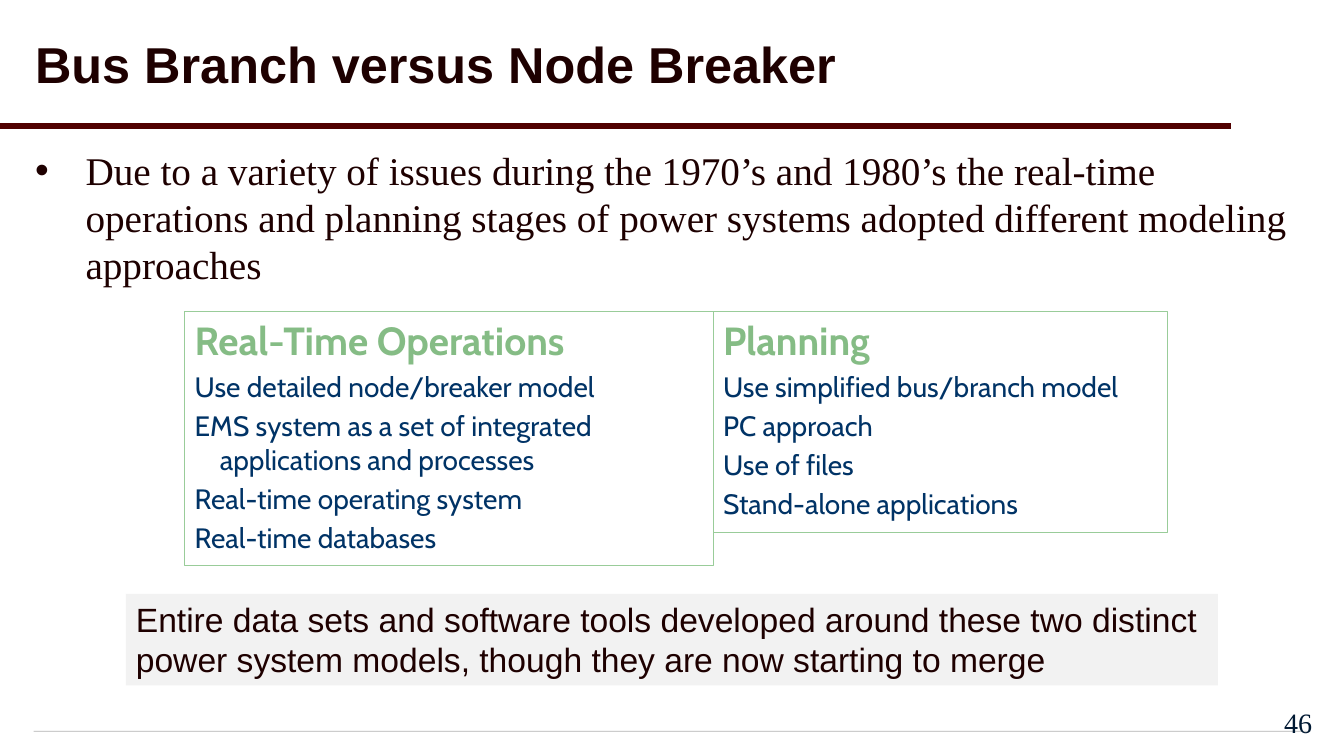
from pptx import Presentation
from pptx import util as u
from pptx.dml.color import RGBColor
from pptx.enum import shapes, text
from pptx.oxml import parse_xml
from pptx.oxml.ns import nsdecls

WIDE, HIGH = u.Inches(13.33), u.Inches(7.5)
COLS, ROWS = 160, 90

DARK = RGBColor(0x1E, 0x00, 0x00)
MAROON = RGBColor(0x50, 0x00, 0x00)
GREEN = RGBColor(0x85, 0xBC, 0x85)
EDGE = RGBColor(0x99, 0xCC, 0x99)
BLUE = RGBColor(0x00, 0x33, 0x66)
NAVY = RGBColor(0x00, 0x19, 0x33)
PALE = RGBColor(0xF2, 0xF2, 0xF2)
GREY = RGBColor(0xB2, 0xB2, 0xB2)

SERIF, SANS, CABIN = "Times New Roman", "Arial", "Cabin"


def grid(left, top, width, height):
    """Turn columns and rows into lengths on the slide."""
    return (round(WIDE * left / COLS), round(HIGH * top / ROWS),
            round(WIDE * width / COLS), round(HIGH * height / ROWS))


def write(frame, words, first=False, size=20, face=SERIF, color=DARK, bold=False,
          align=text.PP_ALIGN.LEFT, hang=0, bullet=None, before=0, lines=None):
    """Write one paragraph; hang is the hanging indent in inches."""
    para = frame.paragraphs[0] if first else frame.add_paragraph()
    props = para._p.get_or_add_pPr()
    if hang:
        props.set("marL", str(u.Inches(hang)))
        props.set("indent", str(u.Inches(-hang)))
    if bullet:
        props.append(parse_xml(f'<a:buFont {nsdecls("a")} typeface="Arial"/>'))
        props.append(parse_xml(f'<a:buChar {nsdecls("a")} char="{bullet}"/>'))
    para.alignment = align
    para.space_before = u.Pt(before)
    if lines:
        para.line_spacing = lines
    run = para.add_run()
    run.text = words
    font = run.font
    font.size, font.name, font.bold = u.Pt(size), face, bold
    font.color.rgb = color


def block(slide, place, fill=None, line=None):
    shape = slide.shapes.add_shape(shapes.MSO_SHAPE.RECTANGLE, *grid(*place))
    shape.shadow.inherit = False
    if fill:
        shape.fill.solid()
        shape.fill.fore_color.rgb = fill
    else:
        shape.fill.background()
    if line:
        shape.line.color.rgb = line
        shape.line.width = u.Pt(0.75)
    else:
        shape.line.fill.background()
    frame = shape.text_frame
    frame.word_wrap = True
    frame.vertical_anchor = text.MSO_ANCHOR.TOP
    return frame


def label(slide, place, words, anchor=text.MSO_ANCHOR.TOP, **style):
    frame = slide.shapes.add_textbox(*grid(*place)).text_frame
    frame.word_wrap = True
    frame.vertical_anchor = anchor
    write(frame, words, first=True, **style)


def panel(slide, place, head, items):
    frame = block(slide, place, line=EDGE)
    write(frame, head, first=True, size=28, face=CABIN, color=GREEN, bold=True)
    for item in items:
        write(frame, item, face=CABIN, color=BLUE, hang=0.25, before=4)


def rule(slide, row, end):
    left, top, width, _ = grid(0, row, end, 0)
    line = slide.shapes.add_connector(shapes.MSO_CONNECTOR.STRAIGHT,
                                      left, top, left + width, top)
    line.line.color.rgb = MAROON
    line.line.width = u.Pt(4)
    line._element.spPr.append(parse_xml(f'<a:effectLst {nsdecls("a")}/>'))


def main():
    deck = Presentation()
    deck.slide_width, deck.slide_height = WIDE, HIGH
    slide = deck.slides.add_slide(deck.slide_layouts[6])
    middle = text.MSO_ANCHOR.MIDDLE

    block(slide, (4, 87, 152, 0.1), fill=GREY)
    rule(slide, 15, 146.6)
    label(slide, (3, 1, 145, 14), "Bus Branch versus Node Breaker", anchor=middle,
          size=36, face=SANS, bold=True, lines=0.9)
    label(slide, (3, 16.8, 154, 68.2),
          "Due to a variety of issues during the 1970’s and 1980’s the real-time "
          "operations and planning stages of power systems adopted different "
          "modeling approaches", size=28, hang=0.5, bullet="•")

    panel(slide, (84.9, 37.1, 54.1, 26.3), "Planning",
          ["Use simplified bus/branch model", "PC approach",
           "Use of files", "Stand-alone applications"])
    panel(slide, (22, 37.1, 63, 30.2), "Real-Time Operations",
          ["Use detailed node/breaker model",
           "EMS system as a set of integrated applications and processes",
           "Real-time operating system", "Real-time databases"])

    note = block(slide, (15, 70.7, 130, 10.9), fill=PALE)
    write(note, "Entire data sets and software tools developed around these two "
          "distinct power system models, though they are now starting to merge",
          first=True, size=24, face=SANS)
    label(slide, (151, 83, 6.4, 6), "46", anchor=middle, color=NAVY,
          align=text.PP_ALIGN.RIGHT)
    deck.save("out.pptx")


if __name__ == "__main__":
    main()
